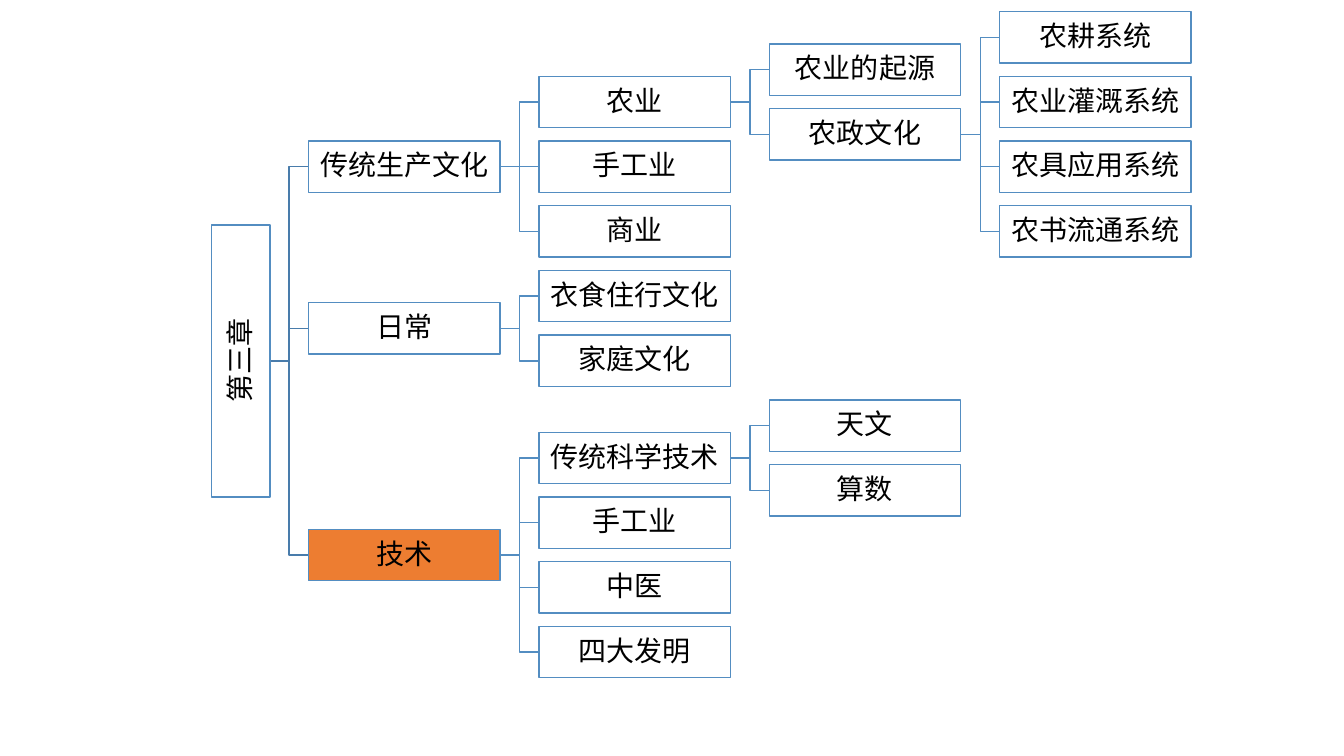
"""Draw the topic tree of chapter three, branching from left to right."""
import pptx
import pptx.util
import pptx.dml.color
import pptx.enum.shapes
import pptx.enum.text
import pptx.oxml.ns
import lxml.etree

THEME = {
    "font": "Noto Sans CJK SC", "size": 20, "line": 1,
    "text": "000000", "box": "FFFFFF", "highlight": "ED7D31",
    "border": "538DC1", "trunk": "497CAB",
}
INCH = pptx.util.Inches
FIRST_COLUMN, COLUMN_PITCH = 3.06, 2.285
FIRST_ROW, ROW_PITCH = 0.37, 0.642
TOPIC_WIDTH, TOPIC_HEIGHT = 1.9, 0.51
CHAPTER_LENGTH, CHAPTER_THICKNESS = 2.7, 0.58
CHAPTER_RIGHT = 2.68

# Each topic: label, column, row of its centre, rows of its branches in the next column.
TOPICS = [
    ("第三章", -1, 5, (2, 4.5, 8)),
    ("传统生产文化", 0, 2, (1, 2, 3)),
    ("农业", 1, 1, (0.5, 1.5)),
    ("农业的起源", 2, 0.5, ()),
    ("农政文化", 2, 1.5, (0, 1, 2, 3)),
    ("农耕系统", 3, 0, ()),
    ("农业灌溉系统", 3, 1, ()),
    ("农具应用系统", 3, 2, ()),
    ("农书流通系统", 3, 3, ()),
    ("手工业", 1, 2, ()),
    ("商业", 1, 3, ()),
    ("日常", 0, 4.5, (4, 5)),
    ("衣食住行文化", 1, 4, ()),
    ("家庭文化", 1, 5, ()),
    ("技术", 0, 8, (6.5, 7.5, 8.5, 9.5)),
    ("传统科学技术", 1, 6.5, (6, 7)),
    ("天文", 2, 6, ()),
    ("算数", 2, 7, ()),
    ("手工业", 1, 7.5, ()),
    ("中医", 1, 8.5, ()),
    ("四大发明", 1, 9.5, ()),
]
HIGHLIGHTED = "技术"


def colour(role):
    return pptx.dml.color.RGBColor.from_string(THEME[role])


def grid_point(column, row):
    return FIRST_COLUMN + column * COLUMN_PITCH, FIRST_ROW + row * ROW_PITCH


deck = pptx.Presentation()
deck.slide_width, deck.slide_height = INCH(13.33), INCH(7.5)
slide = deck.slides.add_slide(deck.slide_layouts[6])

for label, column, row, branch_rows in TOPICS:
    left, middle = grid_point(column, row)
    for branch_row in branch_rows:
        branch_left, branch_middle = grid_point(column + 1, branch_row)
        kinds = pptx.enum.shapes.MSO_CONNECTOR
        kind = kinds.STRAIGHT if branch_row == row else kinds.ELBOW
        branch = slide.shapes.add_connector(
            kind, INCH(left + TOPIC_WIDTH), INCH(middle), INCH(branch_left), INCH(branch_middle))
        branch.line.color.rgb = colour("trunk" if column < 0 else "border")
        branch.line.width = pptx.util.Pt(THEME["line"])
        lxml.etree.SubElement(branch._element.spPr, pptx.oxml.ns.qn("a:effectLst"))

for label, column, row, branch_rows in TOPICS:
    left, middle = grid_point(column, row)
    width, height, centre = TOPIC_WIDTH, TOPIC_HEIGHT, left + TOPIC_WIDTH / 2
    if column < 0:
        width, height = CHAPTER_LENGTH, CHAPTER_THICKNESS
        centre = CHAPTER_RIGHT - CHAPTER_THICKNESS / 2
    topic = slide.shapes.add_shape(
        pptx.enum.shapes.MSO_SHAPE.RECTANGLE,
        INCH(centre - width / 2), INCH(middle - height / 2), INCH(width), INCH(height))
    topic.rotation = 270 if column < 0 else 0
    topic.shadow.inherit = False
    topic.fill.solid()
    topic.fill.fore_color.rgb = colour("highlight" if label == HIGHLIGHTED else "box")
    topic.line.color.rgb = colour("border")
    topic.line.width = pptx.util.Pt(THEME["line"])

    frame = topic.text_frame
    frame.word_wrap = True
    frame.vertical_anchor = pptx.enum.text.MSO_ANCHOR.MIDDLE
    frame.margin_left = frame.margin_right = frame.margin_top = frame.margin_bottom = INCH(0.01)
    paragraph = frame.paragraphs[0]
    paragraph.alignment = pptx.enum.text.PP_ALIGN.CENTER
    paragraph.line_spacing = 0.9
    run = paragraph.add_run()
    run.text = label
    run.font.size = pptx.util.Pt(THEME["size"])
    run.font.color.rgb = colour("text")
    run.font.name = THEME["font"]
    east_asian = lxml.etree.SubElement(run._r.get_or_add_rPr(), pptx.oxml.ns.qn("a:ea"))
    east_asian.set("typeface", THEME["font"])

deck.save("out.pptx")
